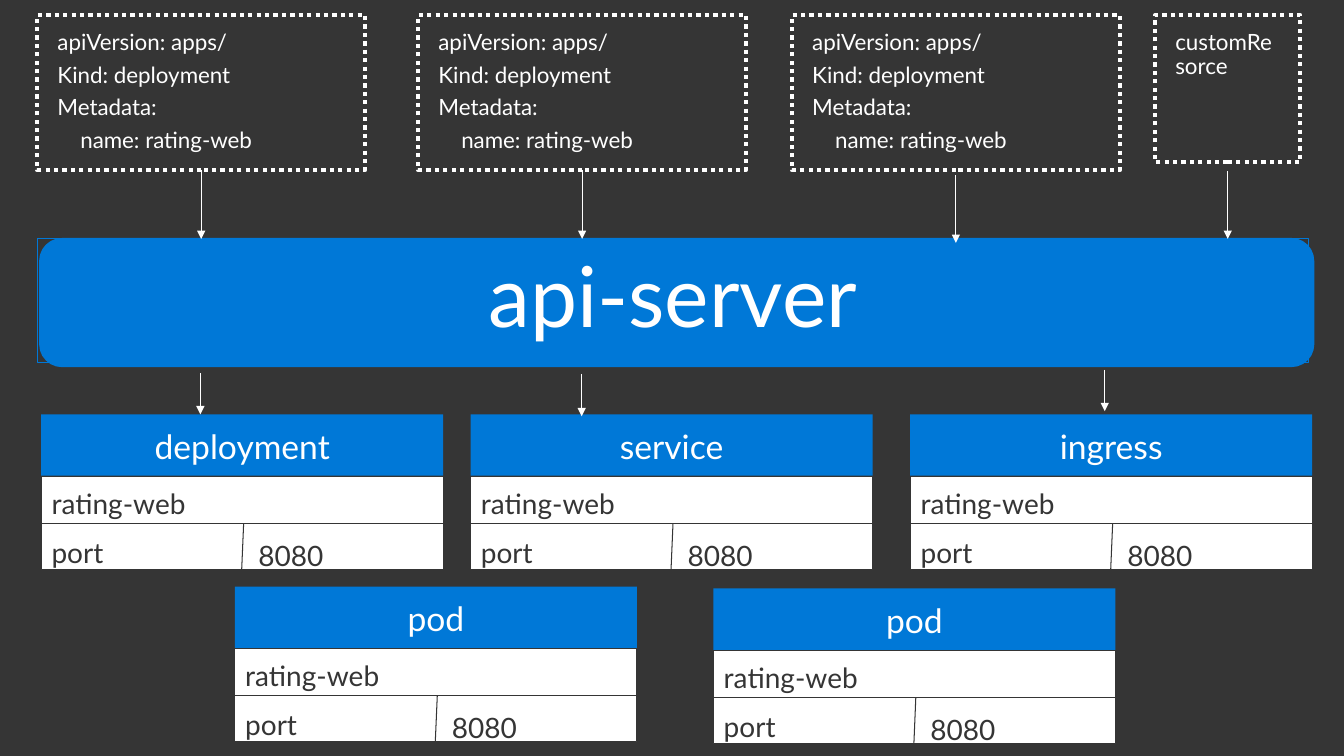
from dataclasses import dataclass

import pptx
import pptx.dml.color
import pptx.enum.dml
import pptx.enum.shapes
import pptx.enum.text
import pptx.oxml.ns
import pptx.util
from lxml import etree

Cm = pptx.util.Cm
Pt = pptx.util.Pt
SHAPE = pptx.enum.shapes.MSO_SHAPE
ANCHOR = pptx.enum.text.MSO_ANCHOR
ALIGN = pptx.enum.text.PP_ALIGN
qn = pptx.oxml.ns.qn


@dataclass(frozen=True)
class Theme:
    font: str = "Lato"
    dark: str = "353535"
    blue: str = "0078D7"
    white: str = "FFFFFF"
    server_size: int = 60
    header_size: int = 24
    row_size: int = 20
    manifest_size: int = 16
    thin: float = 0.75
    thick: float = 3


THEME = Theme()

MANIFEST = ["apiVersion: apps/", "Kind: deployment", "Metadata:", "    name: rating-web"]

# left, width, height, lines, gap above the arrow, arrow end
MANIFESTS = [
    (0.94, 8.26, 3.91, MANIFEST, 0, 6.02),
    (10.54, 8.26, 3.91, MANIFEST, 0, 6.02),
    (19.96, 8.26, 3.91, MANIFEST, 0.13, 6.12),
    (29.11, 3.66, 3.71, ["customResorce"], 0.23, 6.02),
]

# x, top, bottom
SERVER_ARROWS = [(5.05, 9.4, 10.44), (14.66, 9.42, 10.49), (27.84, 9.32, 10.36)]

# title, left, top
CARDS = [
    ("ingress", 22.94, 10.44),
    ("service", 11.86, 10.44),
    ("deployment", 1.04, 10.44),
    ("pod", 5.92, 14.78),
    ("pod", 17.98, 14.83),
]


def rgb(color):
    return pptx.dml.color.RGBColor.from_string(color)


def write(shape, lines, size, color, align=ALIGN.LEFT, anchor=ANCHOR.TOP, after=6):
    frame = shape.text_frame
    frame.word_wrap = True
    frame.vertical_anchor = anchor
    frame.margin_left = frame.margin_right = Cm(0.51)
    frame.margin_top = frame.margin_bottom = Cm(0.41)
    for index, line in enumerate(lines):
        paragraph = frame.add_paragraph() if index else frame.paragraphs[0]
        paragraph.text = line
        paragraph.alignment = align
        paragraph.line_spacing = 0.9
        paragraph.space_after = Pt(after)
        paragraph.font.name = THEME.font
        paragraph.font.size = Pt(size)
        paragraph.font.color.rgb = rgb(color)


def add_box(shapes, kind, left, top, width, height, fill=None, line=None, weight=THEME.thin):
    box = shapes.add_shape(kind, Cm(left), Cm(top), Cm(width), Cm(height))
    box.shadow.inherit = False
    if fill:
        box.fill.solid()
        box.fill.fore_color.rgb = rgb(fill)
    else:
        box.fill.background()
    if line:
        box.line.color.rgb = rgb(line)
        box.line.width = Pt(weight)
    else:
        box.line.fill.background()
    return box


def add_label(shapes, text, left, top, width, height, anchor=ANCHOR.TOP):
    label = shapes.add_textbox(Cm(left), Cm(top), Cm(width), Cm(height))
    write(label, [text], THEME.row_size, THEME.dark, anchor=anchor)


def add_line(shapes, x1, y1, x2, y2, color, arrow=False):
    line = shapes.add_connector(
        pptx.enum.shapes.MSO_CONNECTOR.STRAIGHT, Cm(x1), Cm(y1), Cm(x2), Cm(y2))
    line.line.color.rgb = rgb(color)
    line.line.width = Pt(THEME.thin)
    if arrow:
        etree.SubElement(line.line._get_or_add_ln(), qn("a:tailEnd"), type="triangle")
    properties = line._element.spPr
    etree.SubElement(properties, qn("a:effectLst"))
    return line


def add_manifest(shapes, left, top, width, height, lines, gap, arrow_end):
    """Dotted manifest with its arrow down to the server."""
    manifest = add_box(shapes, SHAPE.RECTANGLE, left, top, width, height,
                       line=THEME.white, weight=THEME.thick)
    manifest.line.dash_style = pptx.enum.dml.MSO_LINE.ROUND_DOT
    write(manifest, lines, THEME.manifest_size, THEME.white)
    middle = left + width / 2
    arrow = add_line(shapes, middle, top + height + gap, middle, arrow_end,
                     THEME.white, arrow=True)
    if not gap:
        arrow.begin_connect(manifest, 2)


def add_server(shapes, left, top, width, height):
    """Rounded bar with a slightly shifted thin frame that holds the name."""
    group = shapes.add_group_shape().shapes
    add_box(group, SHAPE.ROUNDED_RECTANGLE, left + 0.1, top + 0.03, width, height + 0.03,
            THEME.blue, THEME.blue, THEME.thick)
    frame = add_box(group, SHAPE.RECTANGLE, left, top, width, height, line=THEME.blue)
    write(frame, ["api-server"], THEME.server_size, THEME.white, ALIGN.CENTER, ANCHOR.MIDDLE)


def add_card(shapes, title, left, top, width=10.13):
    """Resource card: blue header, name row, port row."""
    group = shapes.add_group_shape().shapes
    header = add_box(group, SHAPE.RECTANGLE, left, top, width, 1.55, THEME.blue)
    write(header, [title], THEME.header_size, THEME.white, ALIGN.CENTER, after=0)
    add_box(group, SHAPE.RECTANGLE, left, top + 1.57, width, 2.34, THEME.white, THEME.dark)

    # Row and column dividers
    row = top + 2.75
    add_line(group, left, row, left + width, row, THEME.dark)
    add_line(group, left + 5.1, row, left + 5.05, row + 1.18, THEME.dark)

    # Row contents
    add_label(group, "rating-web", left - 0.25, top + 1.5, 4.85, 1.6, ANCHOR.MIDDLE)
    add_label(group, "port", left - 0.25, top + 2.77, 4.85, 1.5)
    add_label(group, "8080", left + 4.96, top + 2.84, 4.85, 1.5)


def main():
    deck = pptx.Presentation()
    deck.slide_width = Cm(33.87)
    deck.slide_height = Cm(19.05)
    slide = deck.slides.add_slide(deck.slide_layouts[6])
    slide.background.fill.solid()
    slide.background.fill.fore_color.rgb = rgb(THEME.dark)
    shapes = slide.shapes

    # Resource cards
    for title, left, top in CARDS:
        add_card(shapes, title, left, top)

    # Server bar
    add_server(shapes, 0.94, 6.02, 32.03, 3.12)

    # Manifests sent to the server
    for left, width, height, lines, gap, arrow_end in MANIFESTS:
        add_manifest(shapes, left, 0.38, width, height, lines, gap, arrow_end)

    # Arrows from the server to the resources
    for x, top, bottom in SERVER_ARROWS:
        add_line(shapes, x, top, x, bottom, THEME.white, arrow=True)

    deck.save("out.pptx")


if __name__ == "__main__":
    main()
